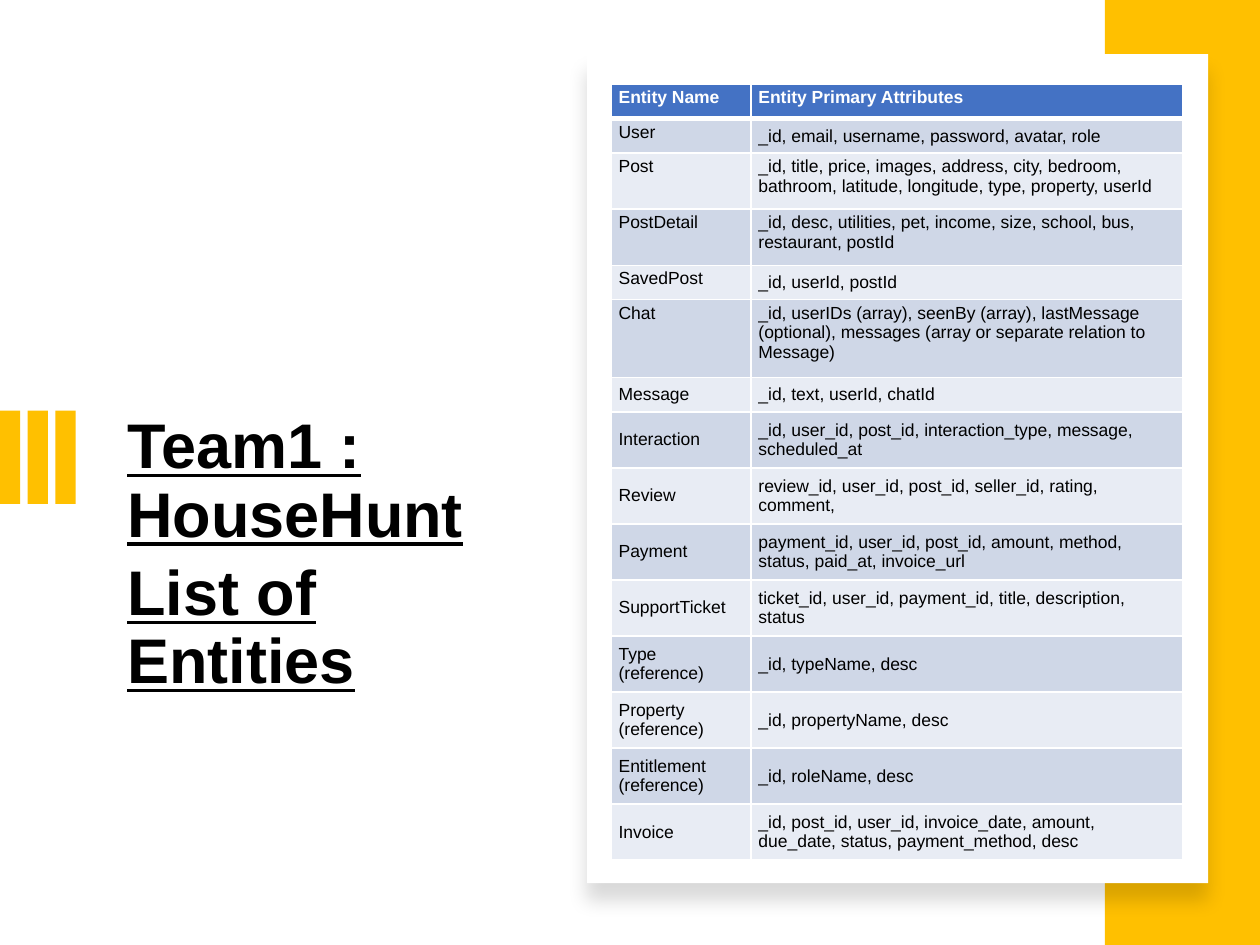
import pptx
import pptx.dml.color
import pptx.enum.shapes
import pptx.enum.text
import pptx.oxml
import pptx.oxml.ns
import pptx.util

Inches = pptx.util.Inches
Pt = pptx.util.Pt
ANCHOR = pptx.enum.text.MSO_ANCHOR
FONT = "Arial"
YELLOW, WHITE, BLACK = "FFC000", "FFFFFF", "000000"
HEADER_FILL = "4472C4"
BAND_FILLS = ("CFD7E7", "E8ECF4")

TITLE_LINES = ("Team1 : HouseHunt", "List of Entities")
BAR_COUNT = 3
BAR_STEP = 0.22

TABLE_BOX = (4.85, 0.67, 4.54, 6.16)
COLUMN_WIDTHS = (1.11, 3.43)
LINE_HEIGHTS = {1: 0.27, 2: 0.44, 3: 0.61}
# name, attributes, lines of text, anchors of the two cells (t = top, m = middle)
ENTITIES = [
    ("Entity Name", "Entity Primary Attributes", 1, "tt"),
    ("User", "_id, email, username, password, avatar, role", 1, "tm"),
    ("Post", "_id, title, price, images, address, city, bedroom, bathroom, "
     "latitude, longitude, type, property, userId", 2, "tt"),
    ("PostDetail", "_id, desc, utilities, pet, income, size, school, bus, "
     "restaurant, postId", 2, "tt"),
    ("SavedPost", "_id, userId, postId", 1, "tm"),
    ("Chat", "_id, userIDs (array), seenBy (array), lastMessage (optional), "
     "messages (array or separate relation to Message)", 3, "tt"),
    ("Message", "_id, text, userId, chatId", 1, "mm"),
    ("Interaction", "_id, user_id, post_id, interaction_type, message, "
     "scheduled_at", 2, "mm"),
    ("Review", "review_id, user_id, post_id, seller_id, rating, comment,", 2, "mm"),
    ("Payment", "payment_id, user_id, post_id, amount, method, status, "
     "paid_at, invoice_url", 2, "mm"),
    ("SupportTicket", "ticket_id, user_id, payment_id, title, description, "
     "status", 2, "mm"),
    ("Type \v(reference)", "_id, typeName, desc", 2, "mm"),
    ("Property \v(reference)", "_id, propertyName, desc", 2, "mm"),
    ("Entitlement\v(reference)", "_id, roleName, desc", 2, "mm"),
    ("Invoice", "_id, post_id, user_id, invoice_date, amount, due_date, "
     "status, payment_method, desc", 2, "mm"),
]


def color(hex_text):
    return pptx.dml.color.RGBColor.from_string(hex_text)


def format_font(font, size, hex_text, bold, underline=None):
    font.name = FONT
    font.size = Pt(size)
    font.bold = bold
    font.underline = underline
    font.color.rgb = color(hex_text)


def add_rectangle(shapes, box, fill):
    shape = shapes.add_shape(pptx.enum.shapes.MSO_SHAPE.RECTANGLE, *map(Inches, box))
    shape.shadow.inherit = False
    shape.fill.solid()
    shape.fill.fore_color.rgb = color(fill)
    shape.line.fill.background()
    return shape


def add_soft_shadow(shape, blur, distance, opacity):
    """Put a shadow straight below the shape; lengths in points."""
    effects = shape._element.spPr.find(pptx.oxml.ns.qn("a:effectLst"))
    effects.append(pptx.oxml.parse_xml(
        f'<a:outerShdw {pptx.oxml.ns.nsdecls("a")} blurRad="{Pt(blur)}" '
        f'dist="{Pt(distance)}" dir="5400000" algn="t" rotWithShape="0">'
        f'<a:srgbClr val="{BLACK}"><a:alpha val="{opacity * 1000}"/></a:srgbClr>'
        "</a:outerShdw>"))


def set_borders(cell, widths):
    """Draw white borders; widths in points for left, right, top, bottom."""
    properties = cell._tc.get_or_add_tcPr()
    for index, (side, width) in enumerate(zip("LRTB", widths)):
        properties.insert(index, pptx.oxml.parse_xml(
            f'<a:ln{side} {pptx.oxml.ns.nsdecls("a")} w="{Pt(width)}">'
            f'<a:solidFill><a:srgbClr val="{WHITE}"/></a:solidFill></a:ln{side}>'))


def fill_title(title):
    title.left, title.top, title.width, title.height = map(
        Inches, (0.91, 3.24, 3.31, 2.61))
    frame = title.text_frame
    frame.text = "\n".join(TITLE_LINES)
    frame.word_wrap = True
    frame.auto_size = pptx.enum.text.MSO_AUTO_SIZE.NONE
    frame.vertical_anchor = ANCHOR.TOP
    for para in frame.paragraphs:
        para.alignment = pptx.enum.text.PP_ALIGN.LEFT
        para.line_spacing = 0.9
        para.space_after = Pt(6)
        format_font(para.runs[0].font, 36, BLACK, True, True)


def fill_cell(cell, text, anchor, row):
    is_header = row == 0
    cell.text_frame.text = text
    cell.vertical_anchor = ANCHOR.TOP if anchor == "t" else ANCHOR.MIDDLE
    cell.margin_left = cell.margin_right = Inches(0.06)
    cell.margin_top = cell.margin_bottom = Inches(0.03)
    for span in cell.text_frame.paragraphs[0].runs:
        format_font(span.font, 10, WHITE if is_header else BLACK, is_header)
    cell.fill.solid()
    cell.fill.fore_color.rgb = color(
        HEADER_FILL if is_header else BAND_FILLS[(row - 1) % 2])
    set_borders(cell, (1, 1, 3 if row == 1 else 1, 3 if is_header else 1))


def add_entity_table(shapes):
    table = shapes.add_table(
        len(ENTITIES), len(COLUMN_WIDTHS), *map(Inches, TABLE_BOX)).table
    for column, width in zip(table.columns, COLUMN_WIDTHS):
        column.width = Inches(width)
    scale = TABLE_BOX[3] / sum(LINE_HEIGHTS[entity[2]] for entity in ENTITIES)
    for row, (name, attributes, lines, anchors) in enumerate(ENTITIES):
        table.rows[row].height = Inches(LINE_HEIGHTS[lines] * scale)
        for column, text in enumerate((name, attributes)):
            fill_cell(table.cell(row, column), text, anchors[column], row)


def main():
    deck = pptx.Presentation()
    deck.slide_width, deck.slide_height = Inches(10), Inches(7.5)
    page = deck.slides.add_slide(deck.slide_layouts[5])
    fill_title(page.shapes.title)
    bars = page.shapes.add_group_shape()
    for index in range(BAR_COUNT):
        add_rectangle(bars.shapes, (index * BAR_STEP, 3.26, 0.16, 0.74), YELLOW)
    add_rectangle(page.shapes, (8.77, 0, 1.23, 7.5), YELLOW)
    card = add_rectangle(page.shapes, (4.66, 0.43, 4.93, 6.58), WHITE)
    add_soft_shadow(card, blur=11, distance=10, opacity=15)
    add_entity_table(page.shapes)
    deck.save("out.pptx")


if __name__ == "__main__":
    main()
